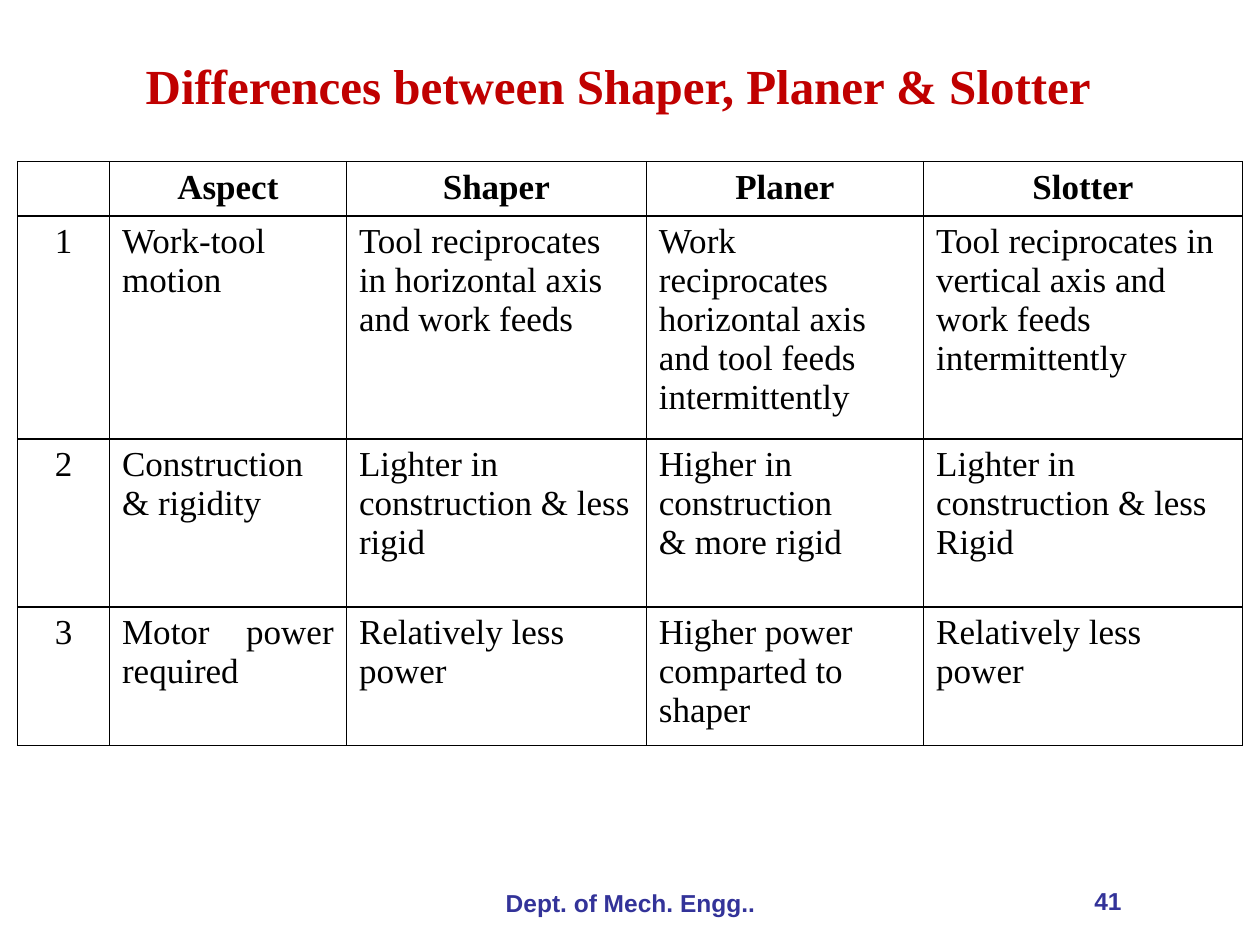
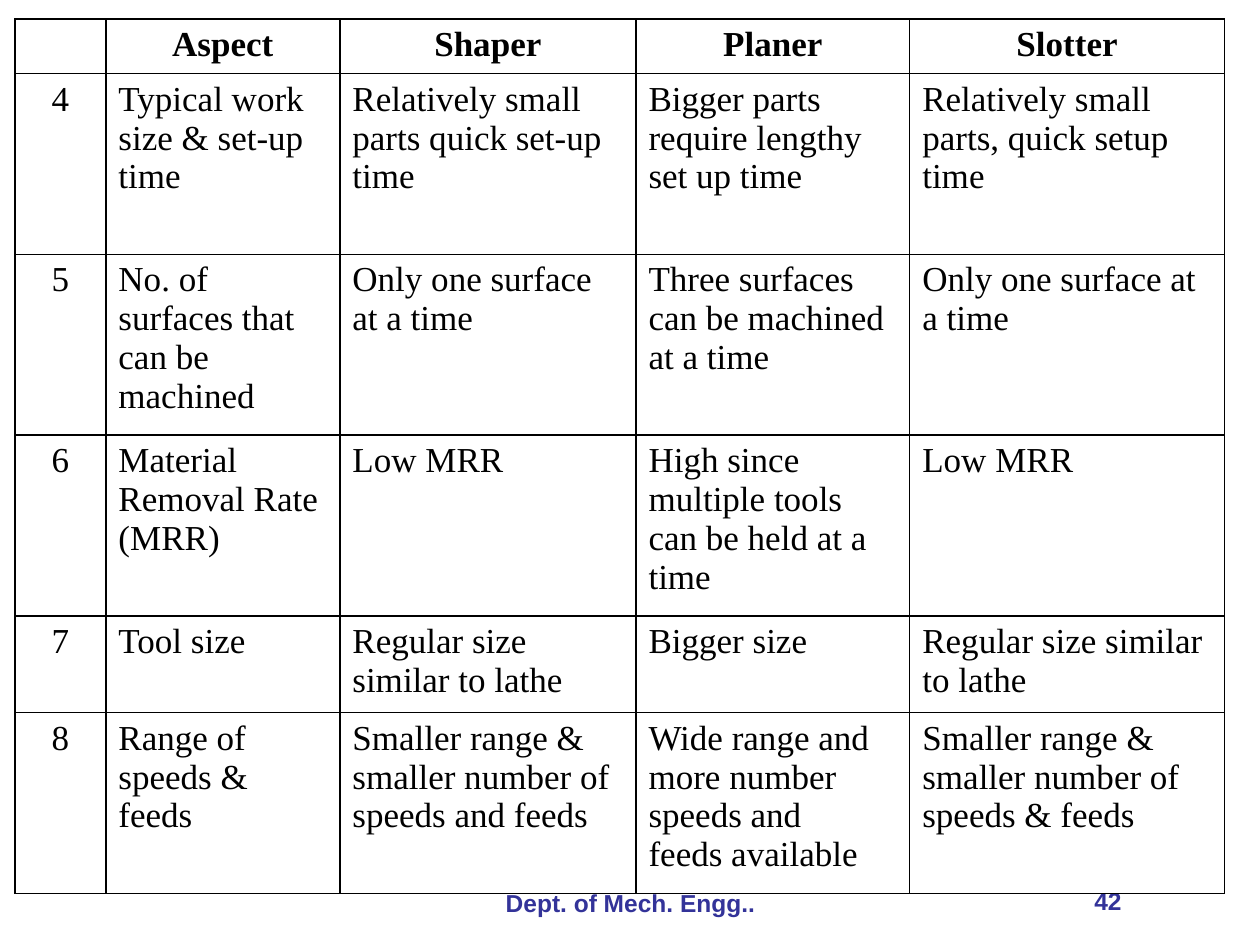
from dataclasses import dataclass

from lxml import etree
from pptx import Presentation
from pptx.dml.color import RGBColor
from pptx.enum import text as t
from pptx.oxml import ns
from pptx.util import Pt


@dataclass(frozen=True)
class Theme:
    title_color: str = "C00000"
    footer_color: str = "333399"
    ink: str = "000000"
    paper: str = "FFFFFF"
    serif: str = "Times New Roman"
    sans: str = "Arial"
    title_size: int = 28
    table_size: int = 20
    footer_size: int = 14
    border: float = 1


THEME = Theme()
LEFT, CENTER, RIGHT, JUSTIFY = (
    t.PP_ALIGN.LEFT, t.PP_ALIGN.CENTER, t.PP_ALIGN.RIGHT, t.PP_ALIGN.JUSTIFY)

TITLE_BOX = (67, 28, 572.4, 41)
DEPARTMENT_BOX = (246.2, 504, 228.3, 25.2)
NUMBER_BOX = (480.2, 502.6, 167.8, 37.4)

HEADER = ("", "Aspect", "Shaper", "Planer", "Slotter")
COLUMN_SHARES = (0.73, 1.88, 2.38, 2.2, 2.53)

# A line break in a cell starts a new paragraph.
MOTION_TO_POWER = [
    ("1", "Work-tool motion",
     "Tool reciprocates\nin horizontal axis and work feeds",
     "Work reciprocates\nhorizontal axis\nand tool feeds\nintermittently",
     "Tool reciprocates in vertical axis and work feeds intermittently"),
    ("2", "Construction & rigidity",
     "Lighter in construction & less rigid",
     "Higher in construction\n& more rigid",
     "Lighter in construction & less\nRigid"),
    ("3", "Motor power required",
     "Relatively less power",
     "Higher power comparted to shaper",
     "Relatively less power"),
]
SIZE_TO_SPEEDS = [
    ("4", "Typical work size & set-up time",
     "Relatively small parts quick set-up time",
     "Bigger parts require lengthy\nset up time",
     "Relatively small parts, quick setup time"),
    ("5", "No. of surfaces that can be machined",
     "Only one surface at a time",
     "Three surfaces can be machined at a time",
     "Only one surface at a time"),
    ("6", "Material Removal Rate (MRR)",
     "Low MRR",
     "High since multiple tools can be held at a time",
     "Low MRR"),
    ("7", "Tool size",
     "Regular size similar to lathe",
     "Bigger size",
     "Regular size similar to lathe"),
    ("8", "Range of speeds & feeds",
     "Smaller range & smaller number of\nspeeds and feeds",
     "Wide range and more number speeds and\nfeeds available",
     "Smaller range & smaller number of\nspeeds & feeds"),
]


def write_text(frame, content, *, font, size, color, bold=False, align=LEFT):
    frame.word_wrap = True
    for index, line in enumerate(content.split("\n")):
        paragraph = frame.paragraphs[0] if index == 0 else frame.add_paragraph()
        paragraph.alignment = align
        paragraph.font.size = Pt(size)
        if line:
            run = paragraph.add_run()
            run.text = line
            run.font.name = font
            run.font.size = Pt(size)
            run.font.bold = bold
            run.font.color.rgb = RGBColor.from_string(color)


def add_text(slide, box, content, anchor=t.MSO_ANCHOR.TOP, **style):
    shape = slide.shapes.add_textbox(*map(Pt, box))
    shape.text_frame.vertical_anchor = anchor
    write_text(shape.text_frame, content, **style)


def add_title(slide, content):
    add_text(slide, TITLE_BOX, content, t.MSO_ANCHOR.MIDDLE, font=THEME.serif,
             size=THEME.title_size, color=THEME.title_color, bold=True, align=CENTER)


def add_footer(slide, number):
    style = dict(font=THEME.sans, size=THEME.footer_size,
                 color=THEME.footer_color, bold=True)
    add_text(slide, DEPARTMENT_BOX, "Dept. of Mech. Engg..", align=CENTER, **style)
    add_text(slide, NUMBER_BOX, str(number), align=RIGHT, **style)


def paint_cell(cell):
    """Give the cell a border on all four sides and a plain fill."""
    properties = cell._tc.get_or_add_tcPr()
    for side in ("lnL", "lnR", "lnT", "lnB"):
        line = etree.SubElement(properties, ns.qn(f"a:{side}"), w=str(Pt(THEME.border)))
        fill = etree.SubElement(line, ns.qn("a:solidFill"))
        etree.SubElement(fill, ns.qn("a:srgbClr"), val=THEME.ink)
    cell.fill.solid()
    cell.fill.fore_color.rgb = RGBColor.from_string(THEME.paper)


def add_comparison(slide, left, top, width, heights, rows, aspect_align=LEFT):
    """Place the machine comparison; heights includes the header row."""
    table = slide.shapes.add_table(
        len(heights), len(HEADER), Pt(left), Pt(top), Pt(width), Pt(sum(heights))).table
    table.first_row = table.horz_banding = False
    for column, share in zip(table.columns, COLUMN_SHARES):
        column.width = Pt(width * share / sum(COLUMN_SHARES))
    body_aligns = (CENTER, aspect_align, LEFT, LEFT, LEFT)
    for row_index, (height, entries) in enumerate(zip(heights, [HEADER, *rows])):
        table.rows[row_index].height = Pt(height)
        is_header = row_index == 0
        for column_index, entry in enumerate(entries):
            cell = table.cell(row_index, column_index)
            write_text(cell.text_frame, entry, font=THEME.serif, size=THEME.table_size,
                       color=THEME.ink, bold=is_header,
                       align=CENTER if is_header else body_aligns[column_index])
            paint_cell(cell)


def add_slide(presentation, number):
    slide = presentation.slides.add_slide(presentation.slide_layouts[6])
    add_footer(slide, number)
    return slide


def main():
    presentation = Presentation()
    presentation.slide_width, presentation.slide_height = Pt(720), Pt(540)

    slide = add_slide(presentation, 41)
    add_comparison(slide, 10, 92.3, 700, (29.4, 118.3, 96, 73.7),
                   MOTION_TO_POWER, aspect_align=JUSTIFY)
    add_title(slide, "Differences between Shaper, Planer & Slotter")

    slide = add_slide(presentation, 42)
    add_comparison(slide, 8.6, 10.8, 691.2, (31, 103.3, 103.3, 103.3, 55.3, 103.3),
                   SIZE_TO_SPEEDS)

    presentation.save("out.pptx")


if __name__ == "__main__":
    main()
